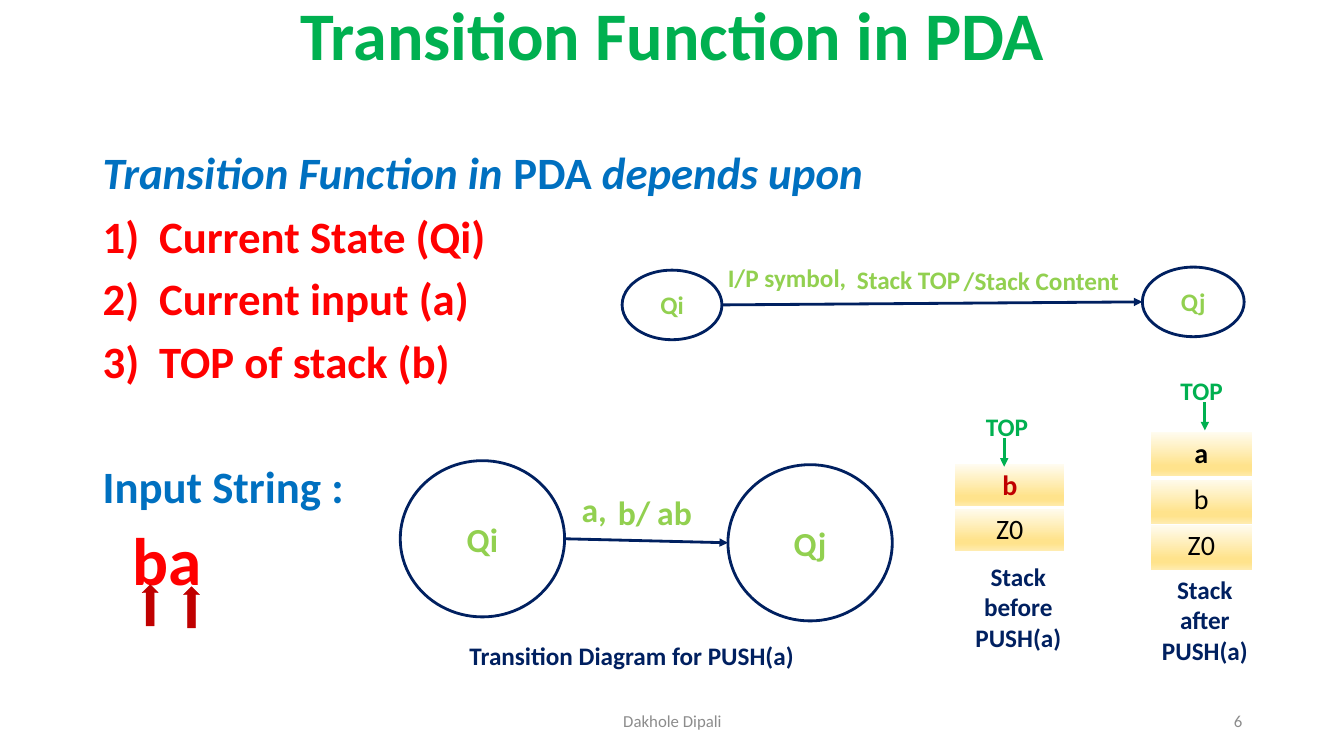
from dataclasses import dataclass

from lxml.etree import SubElement
from pptx import Presentation
from pptx.dml.color import RGBColor
from pptx.enum.shapes import MSO_CONNECTOR, MSO_SHAPE
from pptx.enum.text import MSO_ANCHOR, PP_ALIGN
from pptx.oxml.ns import qn
from pptx.util import Inches, Pt


@dataclass(frozen=True)
class Theme:
    """Fonts, colours and type sizes of the slide."""
    font: str = "Calibri"
    green: str = "00B050"
    lime: str = "92D050"
    blue: str = "0070C0"
    red: str = "FF0000"
    dark_red: str = "C00000"
    navy: str = "002060"
    gray: str = "8C8C8C"
    black: str = "000000"
    white: str = "FFFFFF"
    gold: tuple = ((0, "FFFCF2"), (74, "FFE38C"), (83, "FFE38C"), (100, "FFECB2"))
    title: float = 48.6
    input: float = 48
    body: float = 32
    state: float = 24
    cell: float = 20
    label: float = 18
    footer: float = 12


class SlideBuilder:
    """Draws styled elements on one title-only slide."""

    def __init__(self, prs, theme):
        self.theme = theme
        self.slide = prs.slides.add_slide(prs.slide_layouts[5])
        self.shapes = self.slide.shapes

    def style_run(self, r, size, color, bold=True, italic=False):
        r.font.name = self.theme.font
        r.font.size = Pt(size)
        r.font.bold = bold
        r.font.italic = italic
        r.font.color.rgb = RGBColor.from_string(color)

    def style_text(self, tf, size, color, align=PP_ALIGN.LEFT, bold=True,
                   anchor=MSO_ANCHOR.TOP):
        tf.word_wrap = True
        tf.vertical_anchor = anchor
        for p in tf.paragraphs:
            p.alignment = align
            for r in p.runs:
                self.style_run(r, size, color, bold)

    def title(self, text, left, top, width, height):
        sp = self.shapes.title
        sp.left, sp.top = Inches(left), Inches(top)
        sp.width, sp.height = Inches(width), Inches(height)
        sp.text_frame.text = text
        self.style_text(sp.text_frame, self.theme.title, self.theme.green,
                        PP_ALIGN.CENTER, anchor=MSO_ANCHOR.MIDDLE)
        sp.text_frame.paragraphs[0].line_spacing = 0.9

    def text(self, text, left, top, width, height, size, color, **style):
        sp = self.shapes.add_textbox(Inches(left), Inches(top), Inches(width), Inches(height))
        sp.text_frame.text = text
        self.style_text(sp.text_frame, size, color, **style)
        return sp.text_frame

    def heading(self, parts, left, top, width, height):
        tf = self.text("", left, top, width, height, self.theme.body, self.theme.blue,
                       anchor=MSO_ANCHOR.BOTTOM)
        p = tf.paragraphs[0]
        p.line_spacing = 0.9
        for text, italic in parts:
            r = p.add_run()
            r.text = text
            self.style_run(r, self.theme.body, self.theme.blue, italic=italic)

    def body(self, items, caption, word, left, top, width, height):
        t = self.theme
        tf = self.text("\n".join([*items, caption, word]), left, top, width, height,
                       t.body, t.red)
        for p in tf.paragraphs:
            p.line_spacing = 0.9
            p.space_before = Pt(10)
        *numbered, p_caption, p_word = tf.paragraphs
        for p in numbered:
            pPr = p._p.get_or_add_pPr()
            pPr.set("marL", str(Inches(0.56)))
            pPr.set("indent", str(-Inches(0.56)))
            SubElement(pPr, qn("a:buFont"), typeface="+mj-lt")
            SubElement(pPr, qn("a:buAutoNum"), type="arabicParenR")
        p_caption.space_before = Pt(55)
        self.style_run(p_caption.runs[0], t.body, t.blue)
        p_word._p.get_or_add_pPr().set("marL", str(Inches(0.3)))
        self.style_run(p_word.runs[0], t.input, t.red)

    def shape(self, kind, left, top, width, height, fill, line, weight):
        sp = self.shapes.add_shape(kind, Inches(left), Inches(top),
                                   Inches(width), Inches(height))
        sp.shadow.inherit = False
        sp.fill.solid()
        sp.fill.fore_color.rgb = RGBColor.from_string(fill)
        sp.line.color.rgb = RGBColor.from_string(line)
        sp.line.width = Pt(weight)
        return sp

    def state(self, name, left, top, width, height, size):
        t = self.theme
        sp = self.shape(MSO_SHAPE.OVAL, left, top, width, height, t.white, t.navy, 2)
        sp.text_frame.text = name
        self.style_text(sp.text_frame, size, t.lime, PP_ALIGN.CENTER,
                        anchor=MSO_ANCHOR.MIDDLE)
        return sp

    def arrow(self, x1, y1, x2, y2, color):
        cn = self.shapes.add_connector(MSO_CONNECTOR.STRAIGHT, x1, y1, x2, y2)
        cn.line.color.rgb = RGBColor.from_string(color)
        cn.line.width = Pt(2)
        SubElement(cn.line._get_or_add_ln(), qn("a:tailEnd"), type="triangle")
        SubElement(cn._element.spPr, qn("a:effectLst"))

    def transition(self, source, target):
        self.arrow(source.left + source.width, source.top + source.height // 2,
                   target.left, target.top + target.height // 2, self.theme.navy)

    def format_cell(self, cell, is_top):
        tcPr = cell._tc.get_or_add_tcPr()
        for side in ("lnL", "lnR", "lnT", "lnB"):
            weight = Pt(3 if is_top and side == "lnB" else 1)
            ln = SubElement(tcPr, qn(f"a:{side}"), w=str(weight))
            fill = SubElement(ln, qn("a:solidFill"))
            SubElement(fill, qn("a:srgbClr"), val=self.theme.white)
        grad = SubElement(tcPr, qn("a:gradFill"), rotWithShape="1")
        stops = SubElement(grad, qn("a:gsLst"))
        for pos, color in self.theme.gold:
            gs = SubElement(stops, qn("a:gs"), pos=str(pos * 1000))
            SubElement(gs, qn("a:srgbClr"), val=color)
        SubElement(grad, qn("a:lin"), ang="5400000", scaled="0")

    def stack(self, symbols, top_color, left, top, width, row_height):
        t = self.theme
        table = self.shapes.add_table(len(symbols), 1, Inches(left), Inches(top), Inches(width),
                                      Inches(row_height * len(symbols))).table
        table.first_row = table.horz_banding = False
        for i, symbol in enumerate(symbols):
            cell = table.cell(i, 0)
            cell.text_frame.text = symbol
            self.style_text(cell.text_frame, t.cell, t.black if i else top_color,
                            PP_ALIGN.CENTER, bold=i == 0)
            self.format_cell(cell, i == 0)

    def top_pointer(self, left, top, x):
        t = self.theme
        self.text("TOP", left, top, 0.68, 0.4, t.label, t.green)
        self.arrow(Inches(x), Inches(top + 0.32), Inches(x), Inches(top + 0.6), t.green)


def main():
    prs = Presentation()
    prs.slide_width, prs.slide_height = Inches(13.33), Inches(7.5)
    t = Theme()
    s = SlideBuilder(prs, t)

    s.title("Transition Function in PDA", 0.92, 0, 11.5, 0.76)
    s.heading([("Transition Function in ", True), ("PDA", False), (" depends upon", True)],
              0.92, 1.27, 12.41, 0.76)
    s.body(["Current State (Qi)", "Current input (a)", "TOP of stack (b)"],
           "Input String :", "ba", 0.92, 2.08, 5.64, 4.2)

    s.transition(s.state("Qi", 6.17, 2.68, 0.99, 0.69, t.label),
                 s.state("Qj", 11.33, 2.65, 1.01, 0.69, t.label))
    s.transition(s.state("Qi", 3.97, 4.57, 1.63, 1.55, t.state),
                 s.state("Qj", 7.22, 4.61, 1.63, 1.55, t.state))
    for text, left, top, width, height, size in (
            ("I/P symbol,", 7.12, 2.55, 1.4, 0.4, t.label),
            ("Stack TOP", 8.4, 2.57, 1.28, 0.4, t.label),
            ("/Stack Content", 9.46, 2.58, 1.79, 0.4, t.label),
            ("a,", 5.67, 4.8, 0.56, 0.5, t.state),
            ("b/", 6.03, 4.83, 0.58, 0.5, t.state),
            ("ab", 6.42, 4.83, 0.7, 0.5, t.state)):
        s.text(text, left, top, width, height, size, t.lime)

    s.stack(["a", "b", "Z0"], t.black, 11.41, 4.28, 1.01, 0.46)
    s.stack(["b", "Z0"], t.dark_red, 9.47, 4.6, 1.09, 0.43)
    s.top_pointer(9.68, 4.03, 9.96)
    s.top_pointer(11.61, 3.67, 11.95)
    for text, left, top, width, height in (
            ("Transition Diagram for PUSH(a)", 4.42, 6.3, 3.69, 0.4),
            ("Stack before PUSH(a)", 9.38, 5.52, 1.44, 1.01),
            ("Stack after PUSH(a)", 11.35, 5.65, 1.2, 1.01)):
        s.text(text, left, top, width, height, t.label, t.navy, align=PP_ALIGN.CENTER)

    for left, top in ((1.41, 5.8), (1.82, 5.82)):
        s.shape(MSO_SHAPE.UP_ARROW, left, top, 0.16, 0.41, t.dark_red, t.dark_red, 0.25)
    for text, left, width, align in (("Dakhole Dipali", 4.42, 4.5, PP_ALIGN.CENTER),
                                     ("6", 9.42, 3, PP_ALIGN.RIGHT)):
        s.text(text, left, 6.95, width, 0.4, t.footer, t.gray, align=align, bold=False,
               anchor=MSO_ANCHOR.MIDDLE)
    prs.save("out.pptx")


if __name__ == "__main__":
    main()
